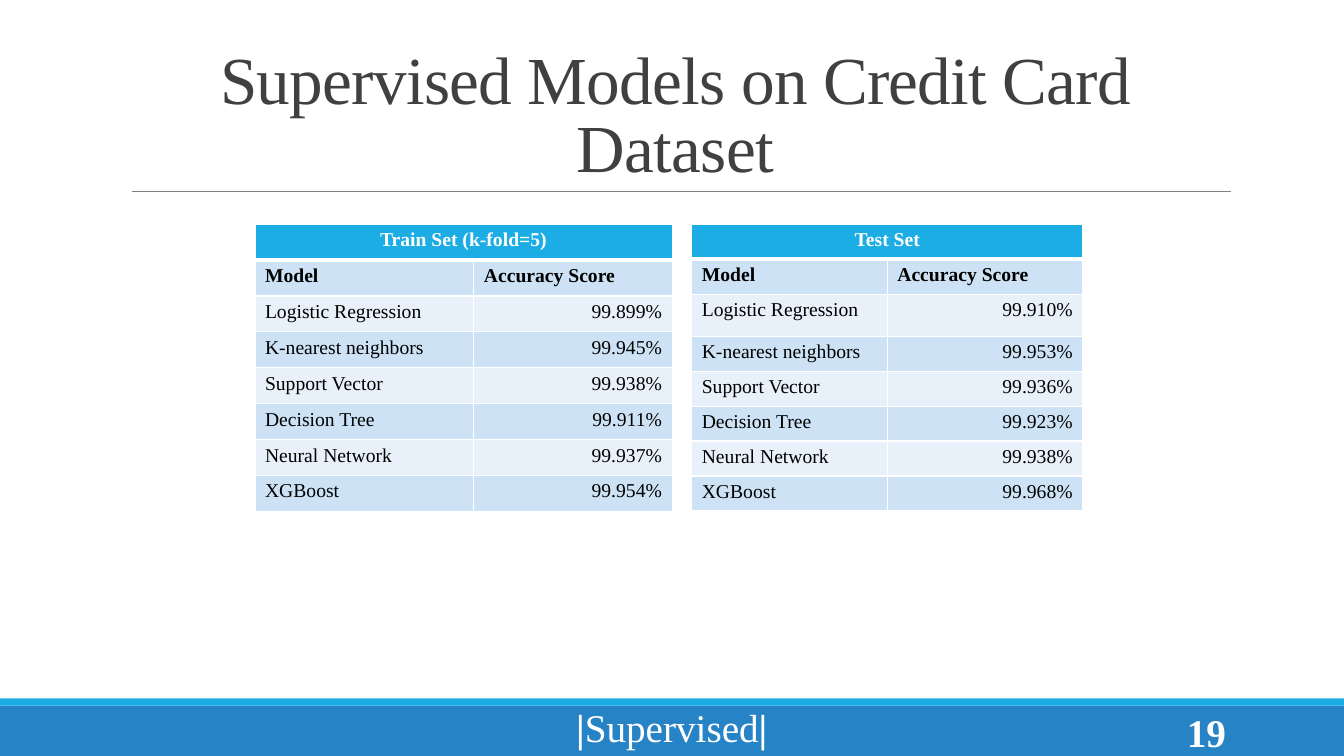
import pptx
import pptx.util
import pptx.dml.color
import pptx.enum.shapes
import pptx.enum.text
import pptx.oxml
import pptx.oxml.ns

Pt = pptx.util.Pt
RGBColor = pptx.dml.color.RGBColor
ALIGN = pptx.enum.text.PP_ALIGN
ANCHOR = pptx.enum.text.MSO_ANCHOR

FONT = "Times New Roman"
WHITE = RGBColor(0xFF, 0xFF, 0xFF)
BLACK = RGBColor(0, 0, 0)
TITLE_GREY = RGBColor(0x40, 0x40, 0x40)
RULE_GREY = RGBColor(0x80, 0x80, 0x80)
BLUE = RGBColor(0x26, 0x83, 0xC6)
CYAN = RGBColor(0x1C, 0xAD, 0xE4)
BAND_DARK = RGBColor(0xCD, 0xE3, 0xF5)
BAND_LIGHT = RGBColor(0xE8, 0xF1, 0xFA)


def style_text(para, size, color, bold, align):
    para.alignment = align
    for span in para.runs:
        span.font.name = FONT
        span.font.size = Pt(size)
        span.font.color.rgb = color
        span.font.bold = bold


def add_text(left, top, width, height, text, anchor, size, color, bold, align):
    box = page.shapes.add_textbox(Pt(left), Pt(top), Pt(width), Pt(height))
    box.text_frame.word_wrap = True
    box.text_frame.vertical_anchor = anchor
    para = box.text_frame.paragraphs[0]
    for piece in text:
        para.add_run().text = piece
    style_text(para, size, color, bold, align)
    return para


deck = pptx.Presentation()
deck.slide_width, deck.slide_height = Pt(960), Pt(540)
page = deck.slides.add_slide(deck.slide_layouts[6])

# Footer bands
for top, height, color in [(504, 36, BLUE), (498.8, 5.2, CYAN)]:
    band = page.shapes.add_shape(
        pptx.enum.shapes.MSO_SHAPE.RECTANGLE, 0, Pt(top), Pt(960), Pt(height))
    band.shadow.inherit = False
    band.fill.solid()
    band.fill.fore_color.rgb = color
    band.line.fill.background()

# Rule under the title
rule = page.shapes.add_connector(
    pptx.enum.shapes.MSO_CONNECTOR.STRAIGHT, Pt(94.3), Pt(136.8), Pt(879), Pt(136.8))
rule.line.color.rgb = RULE_GREY
rule.line.width = Pt(0.5)
rule._element.spPr.append(pptx.oxml.parse_xml(
    f'<a:effectLst {pptx.oxml.ns.nsdecls("a")}/>'))

# Title
title = add_text(86.4, 22.3, 792, 114.5, ["Supervised Models on Credit Card Dataset"],
                 ANCHOR.BOTTOM, 48, TITLE_GREY, False, ALIGN.CENTER)
title.line_spacing = 0.85
title.runs[0].font._element.set("spc", "-50")

# Accuracy tables: heading, left, column widths, row heights, scores
models = ["Logistic Regression", "K-nearest neighbors", "Support Vector",
          "Decision Tree", "Neural Network", "XGBoost"]
tables = [
    ("Test Set", 494.1, [139.7, 139.7], [25] * 2 + [30] + [25] * 5,
     ["99.910%", "99.953%", "99.936%", "99.923%", "99.938%", "99.968%"]),
    ("Train Set (k-fold=5)", 182.1, [156.4, 141.6], [25.65] * 8,
     ["99.899%", "99.945%", "99.938%", "99.911%", "99.937%", "99.954%"]),
]
for heading, left, widths, heights, scores in tables:
    rows = [(heading, ""), ("Model", "Accuracy Score"), *zip(models, scores)]
    grid = page.shapes.add_table(len(rows), 2, Pt(left), Pt(160.2),
                                 Pt(sum(widths)), Pt(sum(heights))).table
    for column, width in zip(grid.columns, widths):
        column.width = Pt(width)
    for r, values in enumerate(rows):
        grid.rows[r].height = Pt(heights[r])
        for c, value in enumerate(values):
            cell = grid.cell(r, c)
            for side in "LRTB":
                thick = (r, side) in [(0, "B"), (1, "T")]
                cell._tc.get_or_add_tcPr().append(pptx.oxml.parse_xml(
                    f'<a:ln{side} {pptx.oxml.ns.nsdecls("a")} w="{Pt(3 if thick else 1)}">'
                    f'<a:solidFill><a:srgbClr val="{WHITE}"/></a:solidFill></a:ln{side}>'))
            cell.fill.solid()
            cell.fill.fore_color.rgb = CYAN if r == 0 else BAND_DARK if r % 2 else BAND_LIGHT
            cell.text = value
            align = ALIGN.CENTER if r == 0 else ALIGN.RIGHT if r > 1 and c else ALIGN.LEFT
            style_text(cell.text_frame.paragraphs[0], 14,
                       BLACK if r else WHITE, r < 2, align)
    grid.cell(0, 0).merge(grid.cell(0, 1))

# Page number and section name
add_text(779.8, 508.3, 103, 28.8, ["19"], ANCHOR.MIDDLE, 28, WHITE, True, ALIGN.RIGHT)
section = add_text(386.6, 498.8, 186.5, 41.2, ["|", "Supervised", "|"],
                   ANCHOR.TOP, 28, WHITE, True, ALIGN.CENTER)
section.runs[1].font.bold = False

deck.save("out.pptx")
